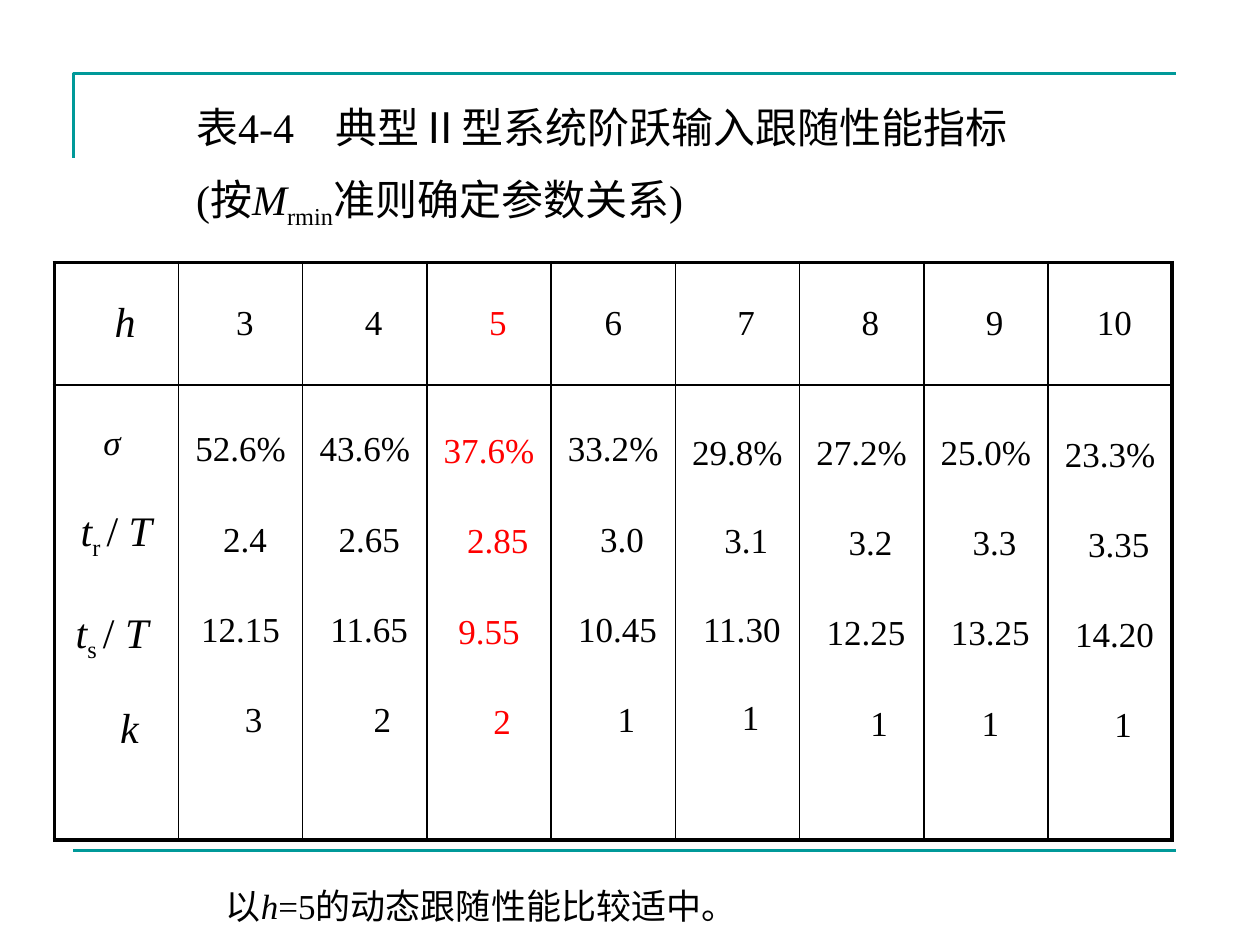
from dataclasses import dataclass

from lxml.etree import SubElement
from pptx import Presentation
from pptx.dml.color import RGBColor
from pptx.enum.text import MSO_ANCHOR, PP_ALIGN
from pptx.oxml.ns import qn
from pptx.util import Pt


@dataclass(frozen=True)
class Theme:
    font: str = "Times New Roman"
    ink: RGBColor = RGBColor(0, 0, 0)
    red: RGBColor = RGBColor(255, 0, 0)
    teal: RGBColor = RGBColor(0, 153, 153)
    body: int = 20
    large: int = 24
    rule: float = 1.5
    thick: float = 2.25
    thin: float = 1


theme = Theme()


def write(para, runs, size, color=theme.ink, gap=0, shift=None):
    """Fill a paragraph; runs are (text, style), style "" / "i" / "sub"."""
    if shift is not None:
        para.alignment = PP_ALIGN.CENTER
        props = para._p.get_or_add_pPr()
        props.set("marL", str(Pt(max(shift, 0))))
        props.set("marR", str(Pt(max(-shift, 0))))
        props.set("indent", "0")
    para.space_before = Pt(gap)
    para.font.name = theme.font
    para.font.size = Pt(size)
    para.font.color.rgb = color
    for text, style in runs:
        run = para.add_run()
        run.text = text
        if style == "i":
            run.font.italic = True
        elif style == "sub":
            run._r.get_or_add_rPr().set("baseline", "-25000")


def border(cell, sides):
    """Draw the cell's edges; sides maps L, R, T, B to a width."""
    props = cell._tc.get_or_add_tcPr()
    for side, width in sides.items():
        line = SubElement(props, qn(f"a:ln{side}"), w=str(Pt(width)))
        fill = SubElement(line, qn("a:solidFill"))
        SubElement(fill, qn("a:srgbClr"), val=str(theme.ink))


deck = Presentation()
deck.slide_width, deck.slide_height = Pt(720), Pt(540)
slide = deck.slides.add_slide(deck.slide_layouts[6])
shapes = slide.shapes

# Corner rule above, straight rule below
pen = shapes.build_freeform(Pt(42), Pt(90))
pen.add_line_segments([(Pt(42), Pt(42)), (Pt(672), Pt(42))], close=False)
corner = pen.convert_to_shape()
corner.shadow.inherit = False
corner.fill.background()
base = shapes.add_connector(1, Pt(42), Pt(486), Pt(672), Pt(486))
SubElement(base._element.spPr, qn("a:effectLst"))
for rule in (corner, base):
    rule.line.color.rgb = theme.teal
    rule.line.width = Pt(theme.rule)

# Table content: (text, shift to the right) down each column
step = 5
heads = [("3", 1), ("4", 2), ("5", 2), ("6", 0),
         ("7", 2), ("8", 2), ("9", 2), ("10", 1)]
values = [
    [("52.6%", 0), ("2.4", 1), ("12.15", 0), ("3", 3)],
    [("43.6%", 0), ("2.65", 1), ("11.65", 1), ("2", 4)],
    [("37.6%", 0), ("2.85", 2), ("9.55", 0), ("2", 3)],
    [("33.2%", 0), ("3.0", 2), ("10.45", 1), ("1", 3)],
    [("29.8%", 0), ("3.1", 2), ("11.30", 1), ("1", 3)],
    [("27.2%", 0), ("3.2", 2), ("12.25", 1), ("1", 4)],
    [("25.0%", 0), ("3.3", 2), ("13.25", 1), ("1", 1)],
    [("23.3%", 0), ("3.35", 2), ("14.20", 1), ("1", 3)],
]
tops = [26, 26, 27, 26, 28, 28, 28, 29]
gaps = [29.4] * 4 + [28.4] + [29.4] * 3
labels = [
    ([("σ", "i")], theme.body, 0, -1),
    ([("t", "i"), ("r ", "sub"), ("/ ", ""), ("T", "i")], theme.large, 26, 0),
    ([("t", "i"), ("s ", "sub"), ("/ ", ""), ("T", "i")], theme.large, 28, -1),
    ([("k", "i")], theme.large, 24, 3),
]

# Table frame
frame = shapes.add_table(2, 9, Pt(31), Pt(150), Pt(639), Pt(330))
table = frame.table
table.first_row = table.horz_banding = False
for col in table.columns:
    col.width = Pt(71)
for row, height in zip(table.rows, (70, 260)):
    row.height = Pt(height)
for r in range(2):
    for c in range(9):
        cell = table.cell(r, c)
        border(cell, {
            "L": theme.thick if c == 0 else theme.thin,
            "R": theme.thick if c == 8 else theme.thin,
            "T": theme.thick if r == 0 else theme.thin,
            "B": theme.thick if r == 1 else theme.thin,
        })
        cell.fill.background()
        cell.vertical_anchor = MSO_ANCHOR.TOP if r else MSO_ANCHOR.MIDDLE

# Label column
write(table.cell(0, 0).text_frame.paragraphs[0], [("h", "i")],
      theme.large, shift=2 * step)
cell = table.cell(1, 0)
cell.margin_top = Pt(22.6)
for n, (runs, size, gap, shift) in enumerate(labels):
    text = cell.text_frame
    para = text.add_paragraph() if n else text.paragraphs[0]
    write(para, runs, size, gap=gap, shift=shift * step)

# Value columns, with h = 5 in red
for c, (head, items) in enumerate(zip(heads, values)):
    color = theme.red if head[0] == "5" else theme.ink
    write(table.cell(0, c + 1).text_frame.paragraphs[0], [(head[0], "")],
          theme.body, color, shift=head[1] * step)
    cell = table.cell(1, c + 1)
    cell.margin_top = Pt(tops[c])
    text = cell.text_frame
    for n, (value, shift) in enumerate(items):
        para = text.add_paragraph() if n else text.paragraphs[0]
        write(para, [(value, "")], theme.body, color,
              gaps[c] if n else 0, shift * step)

# Title
text = shapes.add_textbox(Pt(105), Pt(54.7), Pt(482), Pt(80)).text_frame
text.word_wrap = True
para = text.paragraphs[0]
tabs = SubElement(para._p.get_or_add_pPr(), qn("a:tabLst"))
SubElement(tabs, qn("a:tab"), pos=str(Pt(79.5)), algn="l")
write(para, [("表4-4\t典型Ⅱ型系统阶跃输入跟随性能指标", "")], theme.large)
write(text.add_paragraph(),
      [("(按", ""), ("M", "i"), ("rmin", "sub"), ("准则确定参数关系)", "")],
      theme.large, gap=12)

# Closing remark
text = shapes.add_textbox(Pt(122), Pt(502), Pt(442), Pt(31)).text_frame
text.word_wrap = True
write(text.paragraphs[0],
      [("以", ""), ("h", "i"), ("=5的动态跟随性能比较适中。", "")], theme.body)

deck.save("out.pptx")
